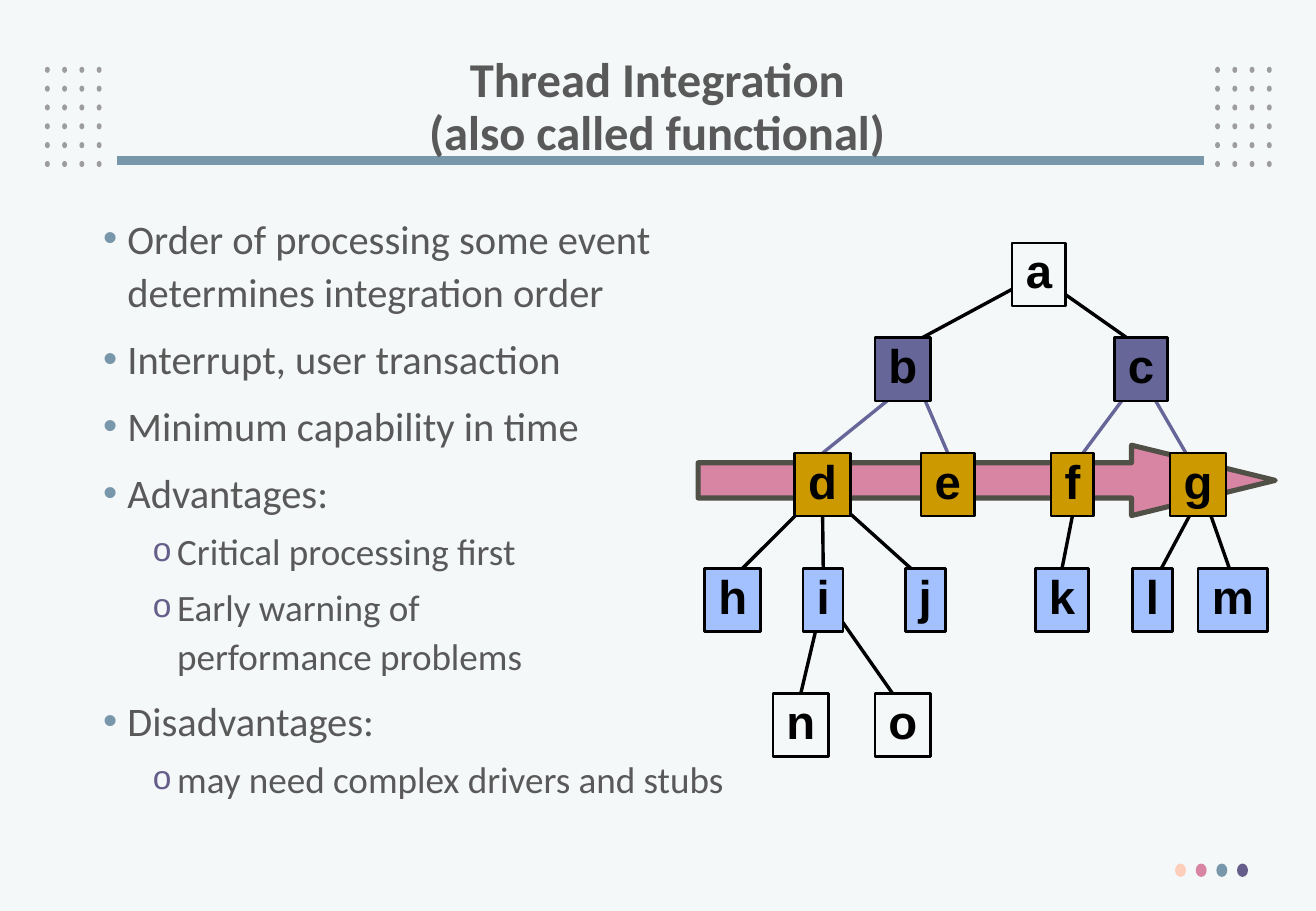
from lxml import etree
from pptx import Presentation
from pptx import util as u
from pptx.dml import color
from pptx.enum import shapes, text
from pptx.oxml import ns

CELL = u.Inches(0.1)
COLUMNS, ROWS = 108.3, 75
COLORS = {
    "page": "F5F8F9", "ink": "595959", "black": "000000", "dot": "9D9D9D",
    "peach": "FDCEB9", "pink": "D885A3", "steel": "7897AB", "violet": "655D8A",
    "edge": "505046", "module": "666699", "thread": "CC9900", "leaf": "A2C1FE",
}
LEVELS = [
    (20, "page", {"a": (83.3, 4.4)}),
    (27.8, "module", {"b": (72, 4.6), "c": (91.7, 4.4)}),
    (37.3, "thread", {"d": (65.4, 4.6), "e": (75.8, 4.4),
                      "f": (86.5, 3.5), "g": (96.3, 4.6)}),
    (46.8, "leaf", {"h": (58, 4.6), "i": (66.1, 3.3), "j": (74.5, 3.3),
                    "k": (85.2, 4.4), "l": (93.2, 3.3), "m": (98.6, 5.7)}),
    (57.1, "page", {"n": (63.6, 4.6), "o": (72, 4.6)}),
]
BRANCHES = {
    "in": (67.7, 49.5, 65.6, 58), "io": (68, 49.3, 74.3, 58.3),
    "ac": (85.9, 23, 94, 28.7), "ab": (84.8, 23, 74.6, 28.5),
    "be": (75.8, 32.2, 78.3, 38), "cf": (94.1, 30.6, 88.6, 38),
    "cg": (94, 31.1, 98, 38), "bd": (74, 32.2, 67.1, 38),
    "gl": (98.3, 41.7, 95.2, 47.5), "gm": (99, 40.6, 101.7, 48.3),
    "fk": (88.5, 40.8, 87.7, 47.5), "dh": (67.6, 40.3, 59.9, 48),
    "dj": (69.3, 41.7, 76.3, 48), "di": (67.9, 41.7, 67.9, 47.5),
}
JOINED_BELOW_PARENT = ("di", "fk")
JOINED_ABOVE_CHILD = ("in", "be", "bd", "di", "fk")
POINTS = [
    (0, "Order of processing some event\vdetermines integration order"),
    (0, "Interrupt, user transaction"),
    (0, "Minimum capability in time"),
    (0, "Advantages:"),
    (1, "Critical processing first"),
    (1, "Early warning of\vperformance problems"),
    (0, "Disadvantages:"),
    (1, "may need complex drivers and stubs"),
]
POINT_STYLES = [
    dict(size=24, before=8.1, margin=2, mark="•", mark_color="steel", mark_size=100),
    dict(size=22, before=4.1, margin=6.1, mark="o", mark_color="violet", mark_size=90),
]


def cells(*counts):
    return [round(count * CELL) for count in counts]


def rgb(name):
    return color.RGBColor.from_string(COLORS[name])


def write(para, content, size, font="Calibri", ink="ink", bold=False,
          align=text.PP_ALIGN.LEFT, spacing=1.0, before=0):
    para.text = content
    para.alignment = align
    para.line_spacing = spacing
    para.space_before = u.Pt(before)
    for span in para.runs:
        span.font.name = font
        span.font.size = u.Pt(size)
        span.font.bold = bold
        span.font.color.rgb = rgb(ink)


def add_bullet(para, margin, mark, mark_color, mark_size):
    props = para._p.get_or_add_pPr()
    props.set("marL", str(cells(margin)[0]))
    props.set("indent", str(cells(-2)[0]))
    tint = etree.SubElement(props, ns.qn("a:buClr"))
    etree.SubElement(tint, ns.qn("a:srgbClr"), val=COLORS[mark_color])
    etree.SubElement(props, ns.qn("a:buSzPct"), val=str(mark_size * 1000))
    etree.SubElement(props, ns.qn("a:buFont"), typeface="Arial")
    etree.SubElement(props, ns.qn("a:buChar"), char=mark)


def add_figure(page, kind, place, fill, line=None, width=0):
    figure = page.shapes.add_shape(kind, *cells(*place))
    figure.shadow.inherit = False
    figure.fill.solid()
    figure.fill.fore_color.rgb = rgb(fill)
    if line:
        figure.line.color.rgb = rgb(line)
        figure.line.width = u.Pt(width)
    else:
        figure.line.fill.background()
    return figure


def add_line(page, ends, ink, width):
    line = page.shapes.add_connector(shapes.MSO_CONNECTOR.STRAIGHT, *cells(*ends))
    line.line.color.rgb = rgb(ink)
    line.line.width = u.Pt(width)
    etree.SubElement(line._element.spPr, ns.qn("a:effectLst"))
    return line


def add_node(page, letter, place, fill):
    node = add_figure(page, shapes.MSO_SHAPE.RECTANGLE, place, fill, "black", 1.5)
    frame = node.text_frame
    frame.word_wrap = False
    frame.vertical_anchor = text.MSO_ANCHOR.MIDDLE
    write(frame.paragraphs[0], letter, 28, font="Arial", ink="black", bold=True,
          align=text.PP_ALIGN.CENTER, spacing=0.85)
    return node


def add_text_frame(page, place, anchor):
    frame = page.shapes.add_textbox(*cells(*place)).text_frame
    frame.word_wrap = True
    frame.vertical_anchor = anchor
    return frame


def add_decoration(page):
    oval = shapes.MSO_SHAPE.OVAL
    for left in (3.7, 100):
        for row in range(6):
            for column in range(4):
                place = (left + 1.42 * column, 5.5 + 1.55 * row, 0.4, 0.5)
                add_figure(page, oval, place, "dot")
    add_line(page, (99.1, 13.2, 9.6, 13.2), "steel", 5.25)
    for index, fill in enumerate(("peach", "pink", "steel", "violet")):
        add_figure(page, oval, (96.7 + 1.7 * index, 71.1, 0.9, 1.1), fill)


def add_title(page):
    frame = add_text_frame(page, (7.4, 4, 93.4, 9.8), text.MSO_ANCHOR.MIDDLE)
    write(frame.paragraphs[0], "Thread Integration\v(also called functional)", 28.8,
          bold=True, align=text.PP_ALIGN.CENTER, spacing=0.9)


def add_points(page):
    frame = add_text_frame(page, (7.5, 16.7, 92.1, 56.7), text.MSO_ANCHOR.TOP)
    for index, (level, content) in enumerate(POINTS):
        para = frame.add_paragraph() if index else frame.paragraphs[0]
        style = dict(POINT_STYLES[level])
        para.level = level
        write(para, content, style.pop("size"), spacing=1.1, before=style.pop("before"))
        add_bullet(para, **style)


def add_tree(page):
    arrow = add_figure(page, shapes.MSO_SHAPE.RIGHT_ARROW, (57.45, 36.65, 47.5, 5.8),
                       "pink", "edge", 3)
    arrow.adjustments[0], arrow.adjustments[1] = 0.5, 2.04
    lines = {pair: add_line(page, ends, "module" if pair[0] in "bc" else "black", 2)
             for pair, ends in BRANCHES.items()}
    nodes = {letter: add_node(page, letter, (left, top, width, 5.2), fill)
             for top, fill, row in LEVELS for letter, (left, width) in row.items()}
    for pair in JOINED_BELOW_PARENT:
        lines[pair].begin_connect(nodes[pair[0]], 2)
    for pair in JOINED_ABOVE_CHILD:
        lines[pair].end_connect(nodes[pair[1]], 0)


def main():
    deck = Presentation()
    deck.slide_width, deck.slide_height = cells(COLUMNS, ROWS)
    page = deck.slides.add_slide(deck.slide_layouts[6])
    page.background.fill.solid()
    page.background.fill.fore_color.rgb = rgb("page")
    add_decoration(page)
    add_title(page)
    add_points(page)
    add_tree(page)
    deck.save("out.pptx")


if __name__ == "__main__":
    main()
